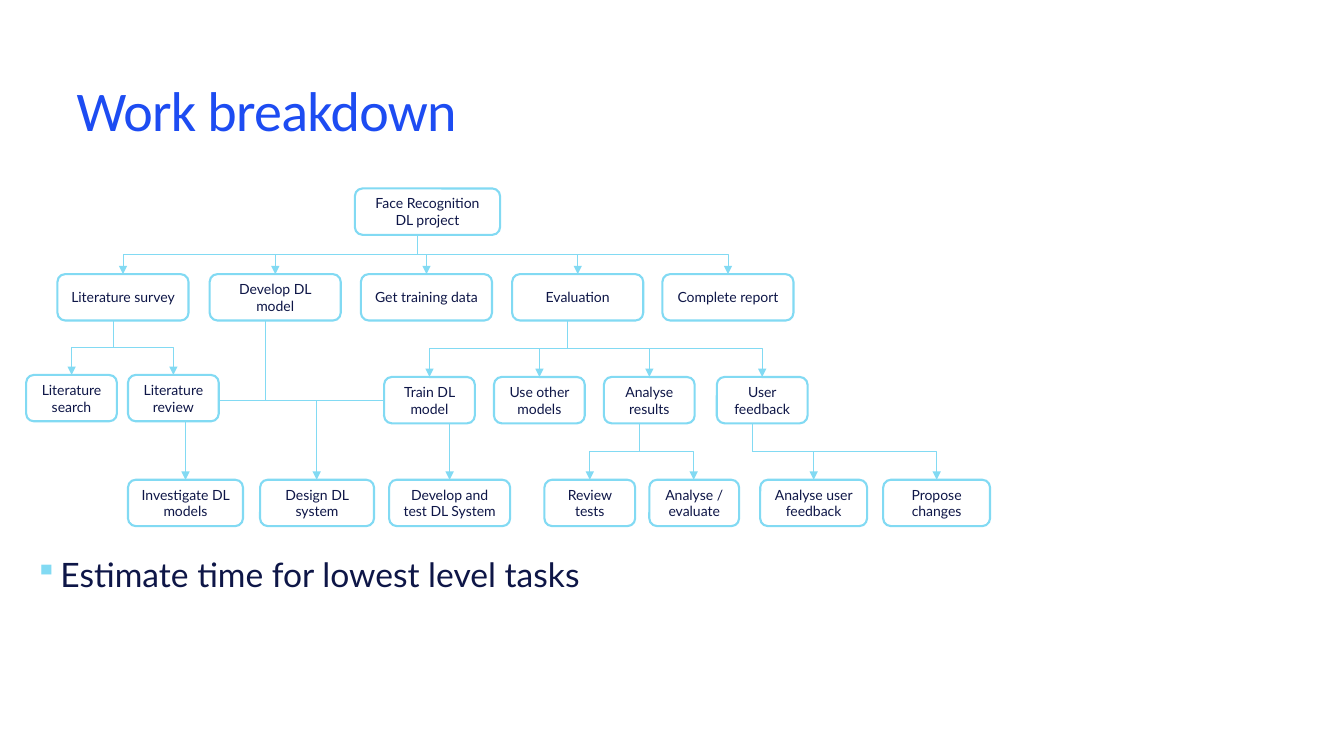
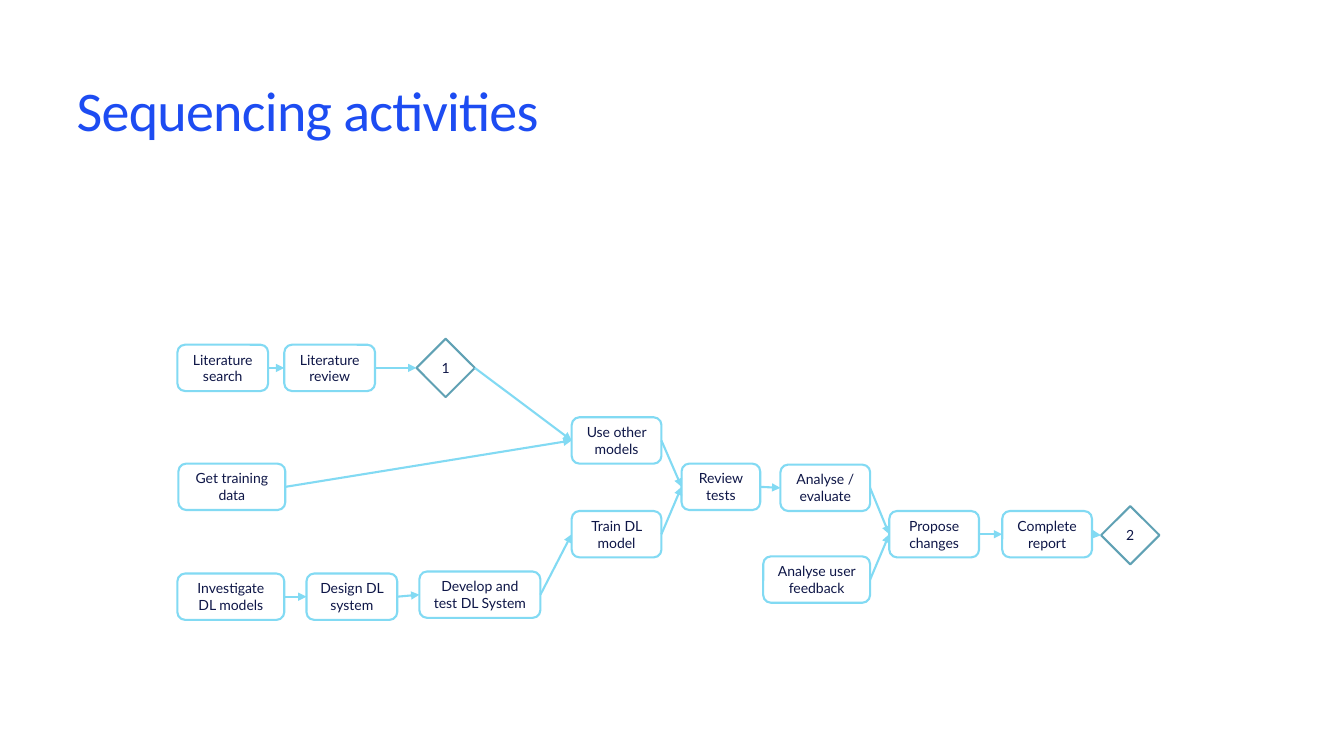
"""Build two project planning slides: a work breakdown and an activity sequence."""
from dataclasses import dataclass

from lxml.etree import SubElement
from pptx import Presentation
from pptx.dml.color import RGBColor
from pptx.enum.shapes import MSO_CONNECTOR, MSO_SHAPE
from pptx.enum.text import MSO_ANCHOR, MSO_AUTO_SIZE, PP_ALIGN
from pptx.oxml.ns import qn
from pptx.util import Pt

EMU_PER_PX = 9144
TITLE_ONLY = 5
LEFT_SIDE, RIGHT_SIDE = 1, 3
BOX_HEIGHT = 46
DIAMOND_SIZE = 58
STEM_SHIFT = 10


@dataclass(frozen=True)
class Theme:
    """Colours, fonts and sizes shared by the slides."""
    title_colour: str = "1D4CF2"
    text_colour: str = "0E1647"
    accent: str = "82DAF3"
    milestone: str = "60A1B4"
    surface: str = "FFFFFF"
    title_font: str = "Calibri"
    body_font: str = "Lato"
    title_size: int = 40
    bullet_size: int = 24
    label_size: int = 10
    outline: float = 1.5
    branch: float = 0.5


THEME = Theme()

BREAKDOWN_TASKS = {
    "Face Recognition DL project": (352, 187, 144),
    "Literature survey": (57, 272, 130),
    "Develop DL model": (208, 272, 130),
    "Get training data": (358, 272, 130),
    "Evaluation": (508, 272, 130),
    "Complete report": (657, 272, 130),
    "Literature search": (26, 372, 90),
    "Literature review": (127, 372, 90),
    "Train DL model": (381, 374, 90),
    "Use other models": (490, 374, 90),
    "Analyse results": (599, 374, 90),
    "User feedback": (711, 374, 90),
    "Investigate DL models": (127, 476, 114),
    "Design DL system": (258, 476, 113),
    "Develop and test DL System": (386, 476, 120),
    "Review tests": (540, 476, 90),
    "Analyse / evaluate": (644, 476, 89),
    "Analyse user feedback": (754, 476, 106),
    "Propose changes": (876, 476, 106),
}

SUBTASKS = {
    "Face Recognition DL project": (
        "Literature survey", "Develop DL model", "Get training data",
        "Evaluation", "Complete report"),
    "Literature survey": ("Literature search", "Literature review"),
    "Develop DL model": (
        "Investigate DL models", "Design DL system",
        "Develop and test DL System"),
    "Evaluation": (
        "Train DL model", "Use other models", "Analyse results",
        "User feedback"),
    "Analyse results": ("Review tests", "Analyse / evaluate"),
    "User feedback": ("Analyse user feedback", "Propose changes"),
}

SEQUENCE_TASKS = {
    "Literature search": (176, 342, 90),
    "Literature review": (282, 342, 90),
    "Get training data": (177, 460, 106),
    "Investigate DL models": (176, 569, 106),
    "Design DL system": (304, 569, 90),
    "Develop and test DL System": (416, 567, 120),
    "Use other models": (567, 414, 89),
    "Train DL model": (567, 507, 89),
    "Review tests": (676, 460, 78),
    "Analyse / evaluate": (774, 461, 89),
    "Analyse user feedback": (757, 552, 106),
    "Propose changes": (882, 507, 89),
    "Complete report": (994, 507, 89),
}

MILESTONES = {"1": (413, 336), "2": (1092, 502)}

SEQUENCE_CHAINS = (
    ("Literature search", "Literature review", "1", "Use other models",
     "Review tests", "Analyse / evaluate", "Propose changes",
     "Complete report", "2"),
    ("Get training data", "Use other models"),
    ("Investigate DL models", "Design DL system",
     "Develop and test DL System", "Train DL model", "Review tests"),
    ("Analyse user feedback", "Propose changes"),
)


def px(*lengths):
    """Turn pixel lengths into a list of EMU."""
    return [length * EMU_PER_PX for length in lengths]


def colour(code):
    """Return the colour for a hexadecimal code."""
    return RGBColor.from_string(code)


def write_text(frame, text, *, size=THEME.label_size, font=THEME.body_font,
               ink=THEME.text_colour, align=PP_ALIGN.CENTER,
               anchor=MSO_ANCHOR.MIDDLE, inset=None, tracking=None):
    """Write one formatted paragraph into a frame and return it."""
    frame.word_wrap = True
    frame.auto_size = MSO_AUTO_SIZE.NONE
    frame.vertical_anchor = anchor
    if inset is not None:
        frame.margin_left = frame.margin_right = inset
        frame.margin_top = frame.margin_bottom = inset
    paragraph = frame.paragraphs[0]
    paragraph.alignment = align
    run = paragraph.add_run()
    run.text = text
    run.font.size = Pt(size)
    run.font.name = font
    run.font.color.rgb = colour(ink)
    if tracking is not None:
        run.font._element.set("spc", str(tracking))
    return paragraph


def add_titled_slide(deck, title):
    """Add a title-only slide and format its title."""
    slide = deck.slides.add_slide(deck.slide_layouts[TITLE_ONLY])
    heading = slide.shapes.title
    heading.left, heading.top, heading.width, heading.height = px(
        76, 40, 1181, 145)
    paragraph = write_text(
        heading.text_frame, title, size=THEME.title_size,
        font=THEME.title_font, ink=THEME.title_colour, align=PP_ALIGN.LEFT,
        inset=0, tracking=-50)
    paragraph.line_spacing = 0.9
    return slide


def add_node(slide, preset, label, bounds, outline):
    """Add an outlined shape with a centred label."""
    node = slide.shapes.add_shape(preset, *px(*bounds))
    node.shadow.inherit = False
    node.fill.background()
    node.line.color.rgb = colour(outline)
    node.line.width = Pt(THEME.outline)
    write_text(node.text_frame, label)
    return node


def add_task(slide, label, left, top, width):
    """Add a filled task box."""
    task = add_node(slide, MSO_SHAPE.ROUNDED_RECTANGLE, label,
                    (left, top, width, BOX_HEIGHT), THEME.accent)
    task.fill.solid()
    task.fill.fore_color.rgb = colour(THEME.surface)
    return task


def add_milestone(slide, label, left, top):
    """Add a numbered milestone diamond."""
    return add_node(slide, MSO_SHAPE.DIAMOND, label,
                    (left, top, DIAMOND_SIZE, DIAMOND_SIZE), THEME.milestone)


def style_arrow(arrow, weight):
    """Give a connector its colour, weight and arrowhead, without shadow."""
    arrow.line.color.rgb = colour(THEME.accent)
    arrow.line.width = Pt(weight)
    properties = arrow._element.spPr
    SubElement(properties.find(qn("a:ln")), qn("a:tailEnd"), type="triangle")
    SubElement(properties, qn("a:effectLst"))


def add_branch(slide, parent, child):
    """Add an elbow arrow that leaves a parent downwards to its child."""
    parent_left, parent_top, parent_width = parent
    child_left, child_top, child_width = child
    start_x, start_y, end_x, end_y = px(
        parent_left + parent_width // 2 - STEM_SHIFT, parent_top + BOX_HEIGHT,
        child_left + child_width // 2, child_top)
    middle_x, middle_y = (start_x + end_x) // 2, (start_y + end_y) // 2
    half_drop, half_reach = (end_y - start_y) // 2, abs(end_x - start_x) // 2
    goes_right = end_x > start_x
    run_up = half_drop if goes_right else -half_drop
    branch = slide.shapes.add_connector(
        MSO_CONNECTOR.ELBOW, middle_x + run_up, middle_y - half_reach,
        middle_x - run_up, middle_y + half_reach)
    quarter_turns = 3 if goes_right else 1
    branch._element.spPr.find(qn("a:xfrm")).set(
        "rot", str(quarter_turns * 90 * 60000))
    style_arrow(branch, THEME.branch)


def add_link(slide, before, after):
    """Join the right side of one node to the left side of the next."""
    link = slide.shapes.add_connector(MSO_CONNECTOR.STRAIGHT, 0, 0, 0, 0)
    link.begin_connect(before, RIGHT_SIDE)
    link.end_connect(after, LEFT_SIDE)
    style_arrow(link, THEME.outline)


def add_bullet(slide, text, bounds):
    """Add a text box holding one bulleted line."""
    note = slide.shapes.add_textbox(*px(*bounds))
    paragraph = write_text(note.text_frame, text, size=THEME.bullet_size,
                           align=PP_ALIGN.LEFT, anchor=MSO_ANCHOR.TOP, inset=0)
    paragraph.space_before = paragraph.space_after = Pt(6)
    properties = paragraph._element.get_or_add_pPr()
    (indent,) = px(25)
    properties.set("marL", str(indent))
    properties.set("indent", str(-indent))
    SubElement(SubElement(properties, qn("a:buClr")), qn("a:srgbClr"),
               val=THEME.accent)
    SubElement(properties, qn("a:buSzPct"), val="90000")
    SubElement(properties, qn("a:buChar"), char="▪")


def build_breakdown(deck):
    """Build the task tree."""
    slide = add_titled_slide(deck, "Work breakdown")
    for parent, children in SUBTASKS.items():
        for child in children:
            add_branch(slide, BREAKDOWN_TASKS[parent], BREAKDOWN_TASKS[child])
    for label, place in BREAKDOWN_TASKS.items():
        add_task(slide, label, *place)
    add_bullet(slide, "Estimate time for lowest level tasks",
               (35, 549, 936, 158))


def build_sequence(deck):
    """Build the activity network."""
    slide = add_titled_slide(deck, "Sequencing activities")
    nodes = {label: add_task(slide, label, *place)
             for label, place in SEQUENCE_TASKS.items()}
    for label, place in MILESTONES.items():
        nodes[label] = add_milestone(slide, label, *place)
    for chain in SEQUENCE_CHAINS:
        for before, after in zip(chain, chain[1:]):
            add_link(slide, nodes[before], nodes[after])


def main():
    """Build and save the deck."""
    deck = Presentation()
    deck.slide_width, deck.slide_height = px(1333, 750)
    build_breakdown(deck)
    build_sequence(deck)
    deck.save("out.pptx")


if __name__ == "__main__":
    main()
